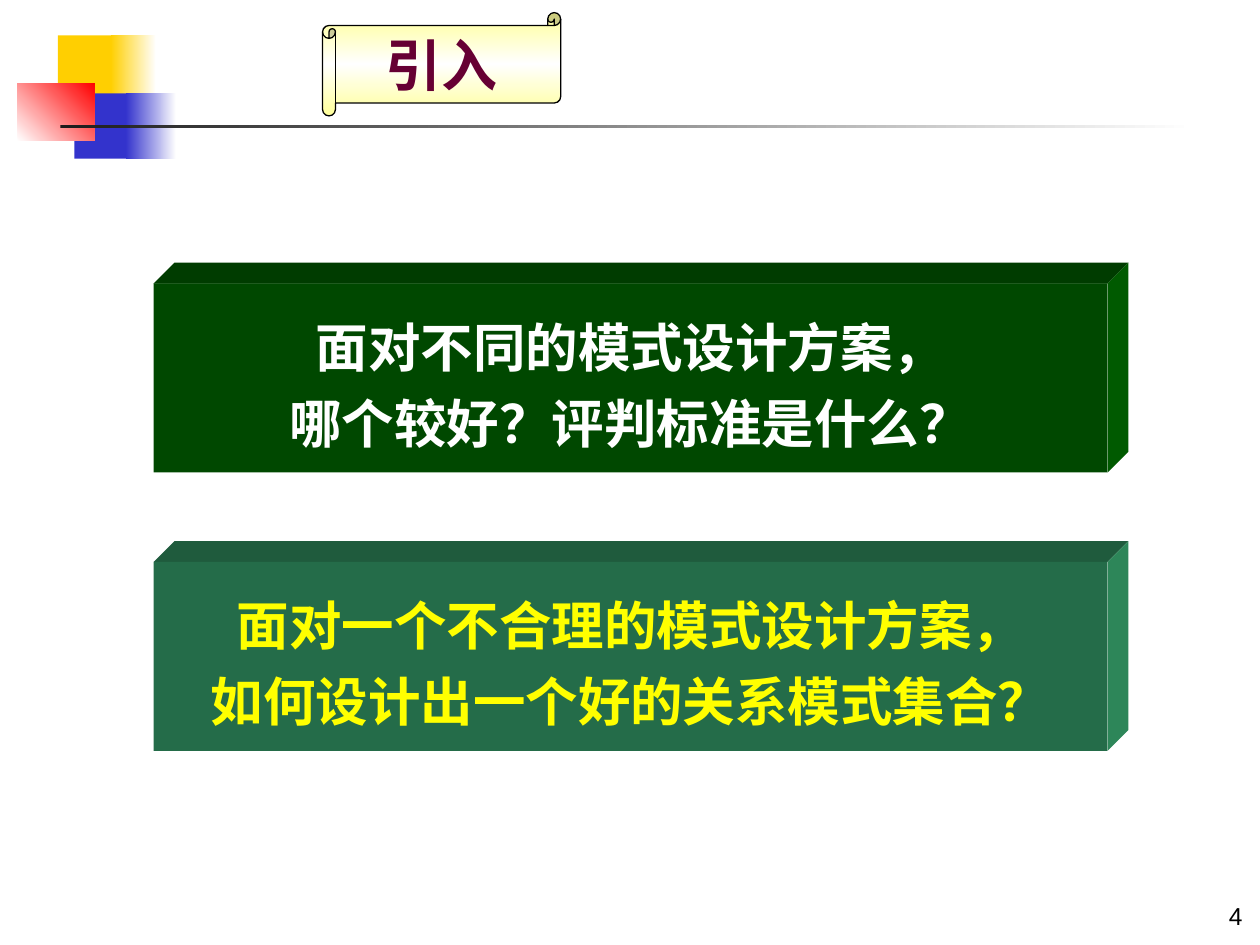
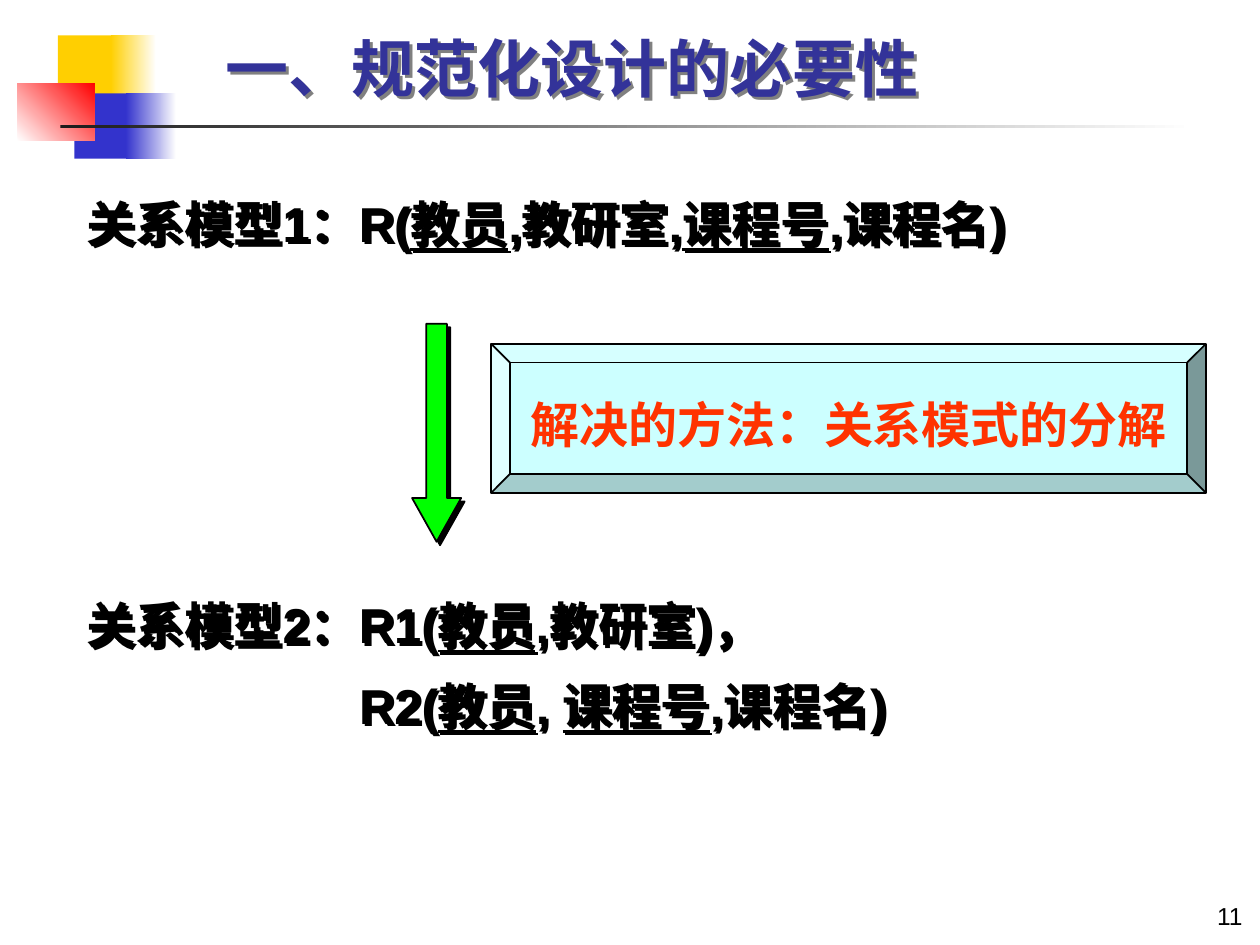
from lxml import etree
from pptx import Presentation
from pptx.dml.color import RGBColor
from pptx.enum.shapes import MSO_SHAPE
from pptx.enum.text import MSO_ANCHOR, MSO_AUTO_SIZE, PP_ALIGN
from pptx.oxml.ns import qn
from pptx.util import Inches, Pt

RECT, SCROLL = MSO_SHAPE.RECTANGLE, MSO_SHAPE.HORIZONTAL_SCROLL
ARROW, BEVEL = MSO_SHAPE.DOWN_ARROW, MSO_SHAPE.BEVEL
MIDDLE, TOP = MSO_ANCHOR.MIDDLE, MSO_ANCHOR.TOP
FIXED = MSO_AUTO_SIZE.NONE
LEFT, CENTER, RIGHT = PP_ALIGN.LEFT, PP_ALIGN.CENTER, PP_ALIGN.RIGHT

COLS, ROWS = 100, 75
SANS, COMIC, CJK = "Arial", "Comic Neue", "Noto Sans CJK SC"
HEX = {
    "black": "000000", "white": "FFFFFF", "gray": "808080", "ink": "1C1C1C",
    "gold": "FFCF01", "blue": "3333CC", "red": "FF0000", "navy": "333399",
    "wine": "660033", "cream": "FFFF99", "yellow": "FFFF00",
    "lime": "00FF00", "ice": "CCFFFF", "orange": "FF3300",
    "dark": "004800", "dark top": "003C00", "dark side": "005A00",
    "sea": "246C49", "sea top": "1F5B3D", "sea side": "2D8659",
}
# Place, colour stops and gradient angle of each part of the corner motif
MOTIF = [
    ((4.6, 2.8, 4.8, 5.2), ["gold"], 0),
    ((8.8, 2.8, 3.6, 5.2), ["gold", "white"], 0),
    ((5.9, 7.4, 4.6, 5.2), ["blue"], 0),
    ((10, 7.4, 4, 5.2), ["blue", "white"], 0),
    ((1.4, 6.6, 6.1, 4.6), ["white", "red"], 45),
    ((4.8, 9.9, 90, 0.3), ["ink", "white"], 0),
]


def rgb(name):
    return RGBColor.from_string(HEX[name])


class Deck:
    """Holds the show, its grid and the current slide."""

    def __init__(self):
        self.show = Presentation()
        self.show.slide_width, self.show.slide_height = Inches(10), Inches(7.5)
        self.col = self.show.slide_width / COLS
        self.row = self.show.slide_height / ROWS

    def grid(self, left, top, width, height):
        return (round(left * self.col), round(top * self.row),
                round(width * self.col), round(height * self.row))

    def page(self, layout, number):
        self.slide = self.show.slides.add_slide(self.show.slide_layouts[layout])
        self.shapes = self.slide.shapes
        for place, stops, angle in MOTIF:
            self.shape(RECT, place, stops, angle=angle)
        box = self.shapes.add_textbox(*self.grid(76.3, 71, 23.3, 3.5))
        box.text_frame.word_wrap = True
        self.put(box.text_frame, [number], 14, "black", RIGHT, bold=False)

    def shape(self, kind, place, stops, line=None, angle=0, adjust=()):
        item = self.shapes.add_shape(kind, *self.grid(*place))
        for index, value in enumerate(adjust):
            item.adjustments[index] = value
        self.paint(item, stops, line, angle)
        return item

    def paint(self, item, stops, line=None, angle=0):
        item.shadow.inherit = False
        if len(stops) == 1:
            item.fill.solid()
            item.fill.fore_color.rgb = rgb(stops[0])
        else:
            item.fill.gradient()
            item.fill.gradient_angle = angle
            ramp = item._element.spPr.find(".//" + qn("a:gsLst"))
            ramp.clear()
            for index, name in enumerate(stops):
                spot = round(100000 * index / (len(stops) - 1))
                stop = etree.SubElement(ramp, qn("a:gs"), pos=str(spot))
                etree.SubElement(stop, qn("a:srgbClr"), val=HEX[name])
        if line:
            item.line.color.rgb = rgb("black")
            item.line.width = Pt(line)
        else:
            item.line.fill.background()

    def shade(self, item, color, dist):
        """Cast a hard shadow down and to the right."""
        item.shadow.inherit = False
        effects = item._element.spPr.find(qn("a:effectLst"))
        cast = etree.SubElement(effects, qn("a:outerShdw"), blurRad="0",
                                dist=str(Pt(dist)), dir="2700000",
                                algn="ctr", rotWithShape="0")
        etree.SubElement(cast, qn("a:srgbClr"), val=HEX[color])

    def put(self, frame, lines, size, color, align=CENTER, font=SANS,
            bold=True, space=None):
        """Fill a frame; a line is a string or a list of runs, where every
        second run is underlined."""
        for index, line in enumerate(lines):
            para = frame.paragraphs[0] if index == 0 else frame.add_paragraph()
            runs = [line] if isinstance(line, str) else line
            for order, text in enumerate(runs):
                run = para.add_run()
                run.text = text
                if order % 2:
                    run.font.underline = True
            para.alignment = align
            if space:
                para.line_spacing = space
            etree.SubElement(para._p.get_or_add_pPr(), qn("a:buNone"))
            face = para.font
            face.name, face.size, face.bold = font, Pt(size), bold
            face.color.rgb = rgb(color)
            base = para._p.pPr.find(qn("a:defRPr"))
            etree.SubElement(base, qn("a:ea"), typeface=CJK)

    def label(self, item, lines, size, color, font, wrap=True):
        frame = item.text_frame
        self.bare(frame, wrap)
        self.put(frame, lines, size, color, font=font, space=1.2)

    def bare(self, frame, wrap):
        frame.margin_left = frame.margin_right = 0
        frame.margin_top = frame.margin_bottom = 0
        frame.vertical_anchor, frame.word_wrap = MIDDLE, wrap

    def hold(self, item, place, anchor):
        """Move a placeholder to its place, in front of what is drawn."""
        item.left, item.top, item.width, item.height = self.grid(*place)
        self.shapes._spTree.append(item._element)
        frame = item.text_frame
        frame.auto_size, frame.vertical_anchor = FIXED, anchor
        return frame

    def title(self, text, place, size, color, align):
        item = self.shapes.title
        frame = self.hold(item, place, MIDDLE)
        self.put(frame, [text], size, color, align)
        return item

    def body(self, lines, place):
        item = self.slide.placeholders[1]
        frame = self.hold(item, place, TOP)
        self.put(frame, lines, 28, "black", LEFT, space=1.2)
        self.shade(item, "black", 2)
        return frame.paragraphs

    def indent(self, para, left, first=0):
        props = para._p.get_or_add_pPr()
        props.set("marL", str(round(left * self.col)))
        props.set("indent", str(round(first * self.col)))

    def block(self, top, color, lines, ink):
        """Draw a slab with a top and a right face, and text in front."""
        place = (12.2, top, 75.7, 15)
        x, y, w, h = self.grid(*place)
        d = round(1.65 * self.col)
        back = (x + w + d, y - d)
        faces = {
            "top": [(x, y), (x + d, y - d), back, (x + w, y)],
            "side": [(x + w, y), back, (x + w + d, y + h - d), (x + w, y + h)],
        }
        for name, points in faces.items():
            edge = self.shapes.build_freeform(*points[0], scale=1.0)
            edge.add_line_segments(points[1:], close=True)
            self.paint(edge.convert_to_shape(), [f"{color} {name}"])
        front = self.shape(RECT, place, [color])
        self.label(front, lines, 30, ink, COMIC)


def intro(deck):
    deck.page(5, "4")
    spot = (25.6, 1, 18.9, 8.2)
    deck.shape(SCROLL, spot, ["cream", "white", "cream"], 0.75, 90, [0.125])
    title = deck.title("引入", spot, 32, "wine", CENTER)
    deck.bare(title.text_frame, False)
    deck.block(22.5, "dark", ["面对不同的模式设计方案，",
                              "哪个较好？评判标准是什么？"], "white")
    deck.block(44.6, "sea", ["面对一个不合理的模式设计方案，",
                             "如何设计出一个好的关系模式集合？"], "yellow")


def need(deck):
    deck.page(1, "11")
    first, second, third = deck.body([
        ["关系模型1：R(", "教员", ",教研室,", "课程号", ",课程名)"],
        ["关系模型2：R1(", "教员", ",教研室)，"],
        ["R2(", "教员", ", ", "课程号", ",课程名)"],
    ], (5.9, 13.9, 90.1, 54.2))
    for para in (first, second):
        deck.indent(para, 3.8, -3.8)
    deck.indent(third, 21.6)
    second.space_before, third.space_before = Pt(189), Pt(5.6)
    title = deck.title("一、规范化设计的必要性", (16.9, 0.8, 78.9, 9.1),
                       36, "navy", LEFT)
    deck.shade(title, "gray", 2)
    arrow = deck.shape(ARROW, (32.7, 25.7, 3.9, 17.3), ["lime"], 1,
                       adjust=[0.42, 0.89])
    deck.shade(arrow, "black", 2.8)
    method = deck.shape(BEVEL, (39, 27.3, 56.7, 11.8), ["ice"], 1,
                        adjust=[0.125])
    deck.label(method, ["解决的方法：关系模式的分解"], 28, "orange", CJK, False)


def main():
    deck = Deck()
    intro(deck)
    need(deck)
    deck.show.save("out.pptx")


if __name__ == "__main__":
    main()
